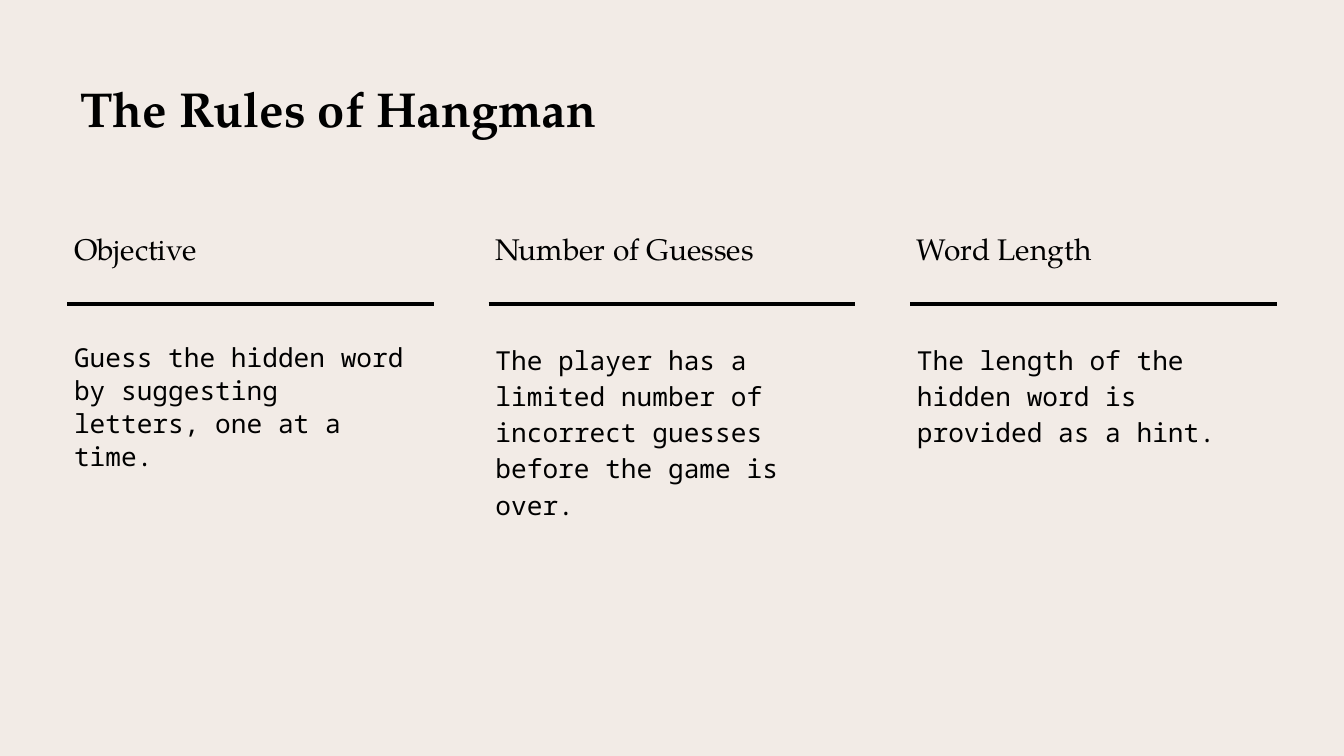
from pptx import Presentation
from pptx.dml.color import RGBColor
from pptx.enum.shapes import MSO_CONNECTOR as Connector
from pptx.enum.text import MSO_ANCHOR as Anchor
from pptx.oxml.ns import qn
from pptx.util import Cm, Pt
from lxml.etree import SubElement

TITLE = "The Rules of Hangman"
RULES = [
    ("Objective", "Guess the hidden word by suggesting letters, one at a time.", 1.05, 0.38),
    ("Number of Guesses",
     "The player has a limited number of incorrect guesses before the game is over.", 1.15, 0.25),
    ("Word Length", "The length of the hidden word is provided as a hint.", 1.15, 0.25),
]

INK = RGBColor(0x00, 0x00, 0x00)
PAPER = RGBColor(0xF2, 0xEB, 0xE6)
SERIF = "TeX Gyre Pagella"
MONO = "Noto Sans Mono"

SLIDE_WIDTH, SLIDE_HEIGHT = 25.4, 14.29
MARGIN = 1.27
CONTENT_WIDTH = SLIDE_WIDTH - 2 * MARGIN
COLUMN_WIDTH = 6.93
COLUMN_STEP = (CONTENT_WIDTH - COLUMN_WIDTH) / (len(RULES) - 1)
DIVIDER_TOP = 5.74


def add_text(slide, text, left, top, width, height, *, font, size, insets,
             anchor=Anchor.TOP, bold=False, line_spacing=None, space_after=0):
    box = slide.shapes.add_textbox(Cm(left), Cm(top), Cm(width), Cm(height))
    frame = box.text_frame
    frame.word_wrap = True
    frame.vertical_anchor = anchor
    (frame.margin_left, frame.margin_top,
     frame.margin_right, frame.margin_bottom) = map(Cm, insets)
    paragraph = frame.paragraphs[0]
    paragraph.line_spacing = line_spacing
    paragraph.space_after = Pt(space_after)
    run = paragraph.add_run()
    run.text = text
    run.font.name = font
    run.font.size = Pt(size)
    run.font.bold = bold
    run.font.color.rgb = INK


def add_divider(slide, left):
    divider = slide.shapes.add_connector(
        Connector.STRAIGHT, Cm(left), Cm(DIVIDER_TOP), Cm(left + COLUMN_WIDTH), Cm(DIVIDER_TOP))
    divider.line.color.rgb = INK
    divider.line.width = Pt(2.25)
    SubElement(divider._element.spPr, qn("a:effectLst"))


def main():
    deck = Presentation()
    deck.slide_width, deck.slide_height = Cm(SLIDE_WIDTH), Cm(SLIDE_HEIGHT)
    slide = deck.slides.add_slide(deck.slide_layouts[6])
    slide.background.fill.solid()
    slide.background.fill.fore_color.rgb = PAPER

    add_text(slide, TITLE, MARGIN, 1.24, CONTENT_WIDTH, 1.6, font=SERIF, size=26.2,
             insets=(0.25, 0.25, 0.25, 0.25), anchor=Anchor.MIDDLE, bold=True)
    for column, (heading, rule, line_spacing, right_inset) in enumerate(RULES):
        left = MARGIN + column * COLUMN_STEP
        add_text(slide, heading, left, 3.4, COLUMN_WIDTH, 2.01, font=SERIF, size=16,
                 insets=(0.13, 0, 0.38, 0.38), anchor=Anchor.BOTTOM)
        add_divider(slide, left)
        add_text(slide, rule, left, 5.92, COLUMN_WIDTH, 6.07, font=MONO, size=14,
                 insets=(0.13, 0.51, right_inset, 0.25),
                 line_spacing=line_spacing, space_after=10)

    deck.save("out.pptx")


if __name__ == "__main__":
    main()
